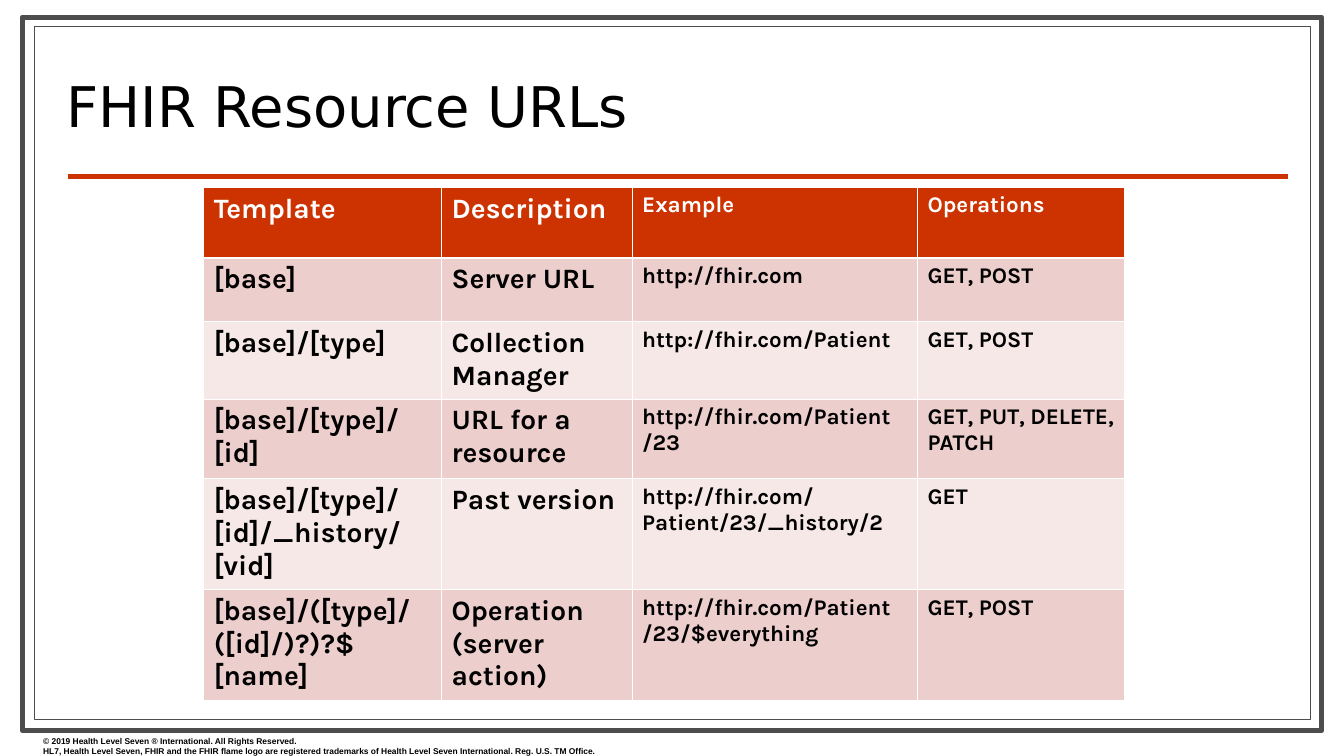
from dataclasses import dataclass

from lxml import etree
from pptx import Presentation
from pptx.dml.color import RGBColor
from pptx.enum.shapes import MSO_CONNECTOR, MSO_SHAPE
from pptx.enum.text import MSO_ANCHOR
from pptx.oxml.ns import qn
from pptx.util import Inches, Pt

RECTANGLE = MSO_SHAPE.RECTANGLE
STRAIGHT = MSO_CONNECTOR.STRAIGHT
TOP = MSO_ANCHOR.TOP
BOTTOM = MSO_ANCHOR.BOTTOM


@dataclass(frozen=True)
class Theme:
    white: str = "FFFFFF"
    black: str = "000000"
    frame: str = "4D4D4D"
    accent: str = "CC3300"
    bands: tuple = ("ECCECC", "F6E8E7")
    title_font: str = "DejaVu Sans"
    table_font: str = "Karla"
    footer_font: str = "Arial"
    title_size: int = 40
    large_size: int = 20
    small_size: int = 16
    footer_size: int = 6


THEME = Theme()

COLUMN_WIDTHS = (2.36, 1.89, 2.83, 2.05)
ROW_HEIGHTS = (0.7, 0.63, 0.77, 0.79, 0.79, 0.79)
URL_ROWS = (
    ("Template", "Description", "Example", "Operations"),
    ("[base]", "Server URL", "http://fhir.com", "GET, POST"),
    ("[base]/[type]", "Collection Manager", "http://fhir.com/Patient", "GET, POST"),
    ("[base]/[type]/[id]", "URL for a resource", "http://fhir.com/Patient\n/23",
     "GET, PUT, DELETE, PATCH"),
    ("[base]/[type]/[id]/_history/[vid]", "Past version",
     "http://fhir.com/Patient/23/_history/2", "GET"),
    ("[base]/([type]/([id]/)?)?$[name]", "Operation (server action)",
     "http://fhir.com/Patient\v/23/$everything", "GET, POST"),
)
COPYRIGHT = (
    "© 2019 Health Level Seven ® International. All Rights Reserved.\n"
    "HL7, Health Level Seven, FHIR and the FHIR flame logo are registered trademarks "
    "of Health Level Seven International. Reg. U.S. TM Office."
)


def color(value):
    return RGBColor.from_string(value)


def write_text(text_frame, text, font_name, size, text_color, bold=False):
    text_frame.text = text
    for paragraph in text_frame.paragraphs:
        for run in paragraph.runs:
            run.font.name = font_name
            run.font.size = Pt(size)
            run.font.bold = bold
            run.font.color.rgb = color(text_color)


def add_frame(slide, left, top, width, height, line_width):
    shape = slide.shapes.add_shape(
        RECTANGLE, Inches(left), Inches(top), Inches(width), Inches(height))
    shape.shadow.inherit = False
    shape.fill.solid()
    shape.fill.fore_color.rgb = color(THEME.white)
    shape.line.color.rgb = color(THEME.frame)
    shape.line.width = Pt(line_width)


def add_rule(slide, left, right, top):
    connector = slide.shapes.add_connector(
        STRAIGHT, Inches(left), Inches(top), Inches(right), Inches(top))
    connector.line.color.rgb = color(THEME.accent)
    connector.line.width = Pt(3)
    etree.SubElement(connector._element.spPr, qn("a:effectLst"))


def add_text(slide, left, top, width, height, text, font_name, size, bold=False, anchor=TOP):
    box = slide.shapes.add_textbox(Inches(left), Inches(top), Inches(width), Inches(height))
    text_frame = box.text_frame
    text_frame.word_wrap = True
    text_frame.vertical_anchor = anchor
    write_text(text_frame, text, font_name, size, THEME.black, bold)
    return text_frame


def add_url_table(slide, left, top):
    table = slide.shapes.add_table(
        len(URL_ROWS), len(COLUMN_WIDTHS), Inches(left), Inches(top),
        Inches(sum(COLUMN_WIDTHS)), Inches(sum(ROW_HEIGHTS))).table
    for column, width in zip(table.columns, COLUMN_WIDTHS):
        column.width = Inches(width)
    for row_index, (row, height, texts) in enumerate(zip(table.rows, ROW_HEIGHTS, URL_ROWS)):
        row.height = Inches(height)
        is_header = row_index == 0
        fill_color = THEME.accent if is_header else THEME.bands[(row_index - 1) % 2]
        text_color = THEME.white if is_header else THEME.black
        for column_index, (cell, text) in enumerate(zip(row.cells, texts)):
            cell.fill.solid()
            cell.fill.fore_color.rgb = color(fill_color)
            size = THEME.large_size if column_index < 2 else THEME.small_size
            write_text(cell.text_frame, text, THEME.table_font, size, text_color, bold=True)


def main():
    presentation = Presentation()
    presentation.slide_width = Inches(13.33)
    presentation.slide_height = Inches(7.5)
    slide = presentation.slides.add_slide(presentation.slide_layouts[6])

    add_frame(slide, 0.22, 0.17, 12.89, 7.08, 3.5)
    add_frame(slide, 0.34, 0.26, 12.66, 6.88, 0.75)
    add_rule(slide, 0.67, 12.77, 1.75)
    add_text(slide, 0.33, 7.25, 6.44, 0.3, COPYRIGHT,
             THEME.footer_font, THEME.footer_size, bold=True)
    title = add_text(slide, 0.56, 0.52, 10.2, 0.9, "FHIR Resource URLs",
                     THEME.title_font, THEME.title_size, anchor=BOTTOM)
    title.paragraphs[0].line_spacing = 0.8
    add_url_table(slide, 2.02, 1.86)

    presentation.save("out.pptx")


if __name__ == "__main__":
    main()
